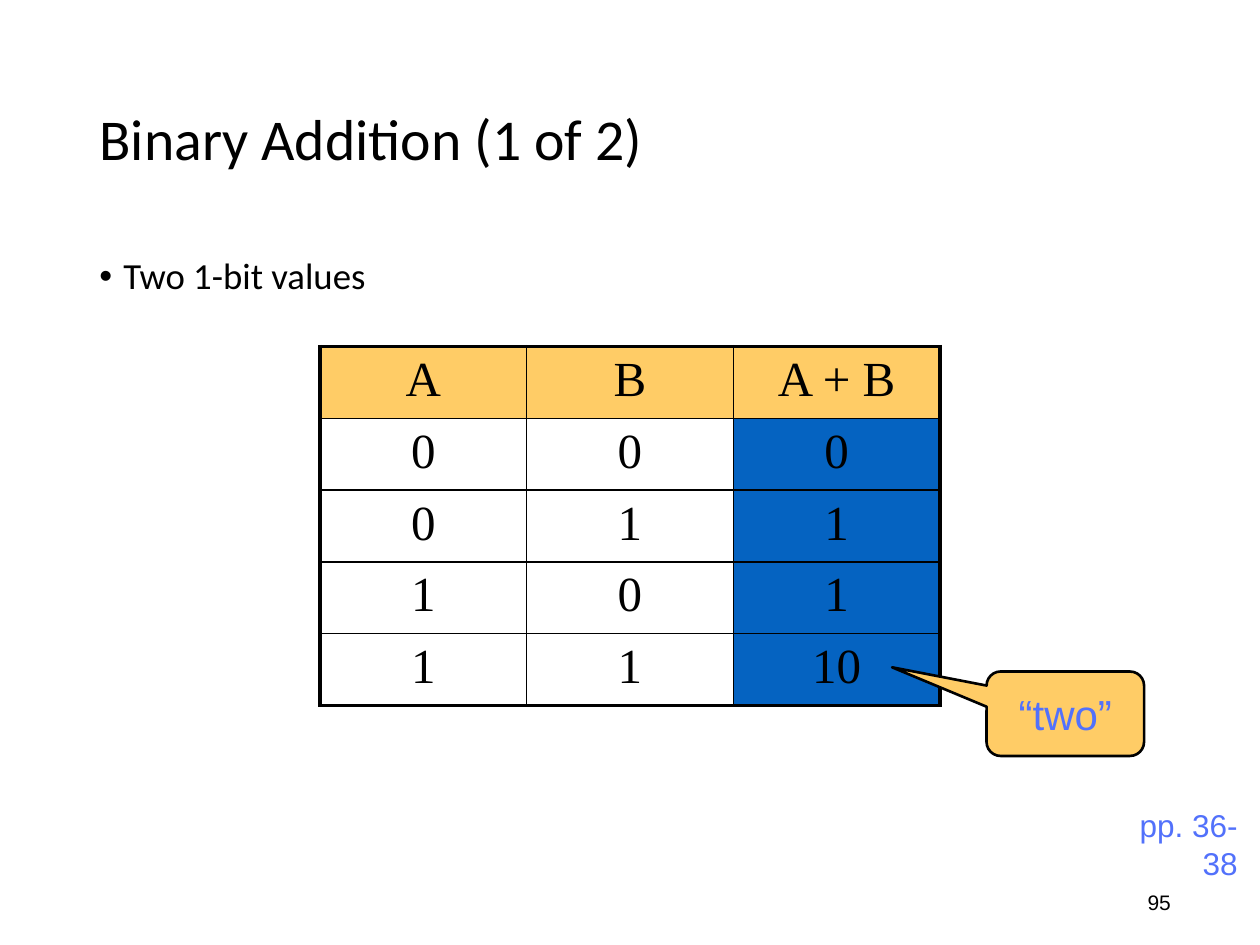
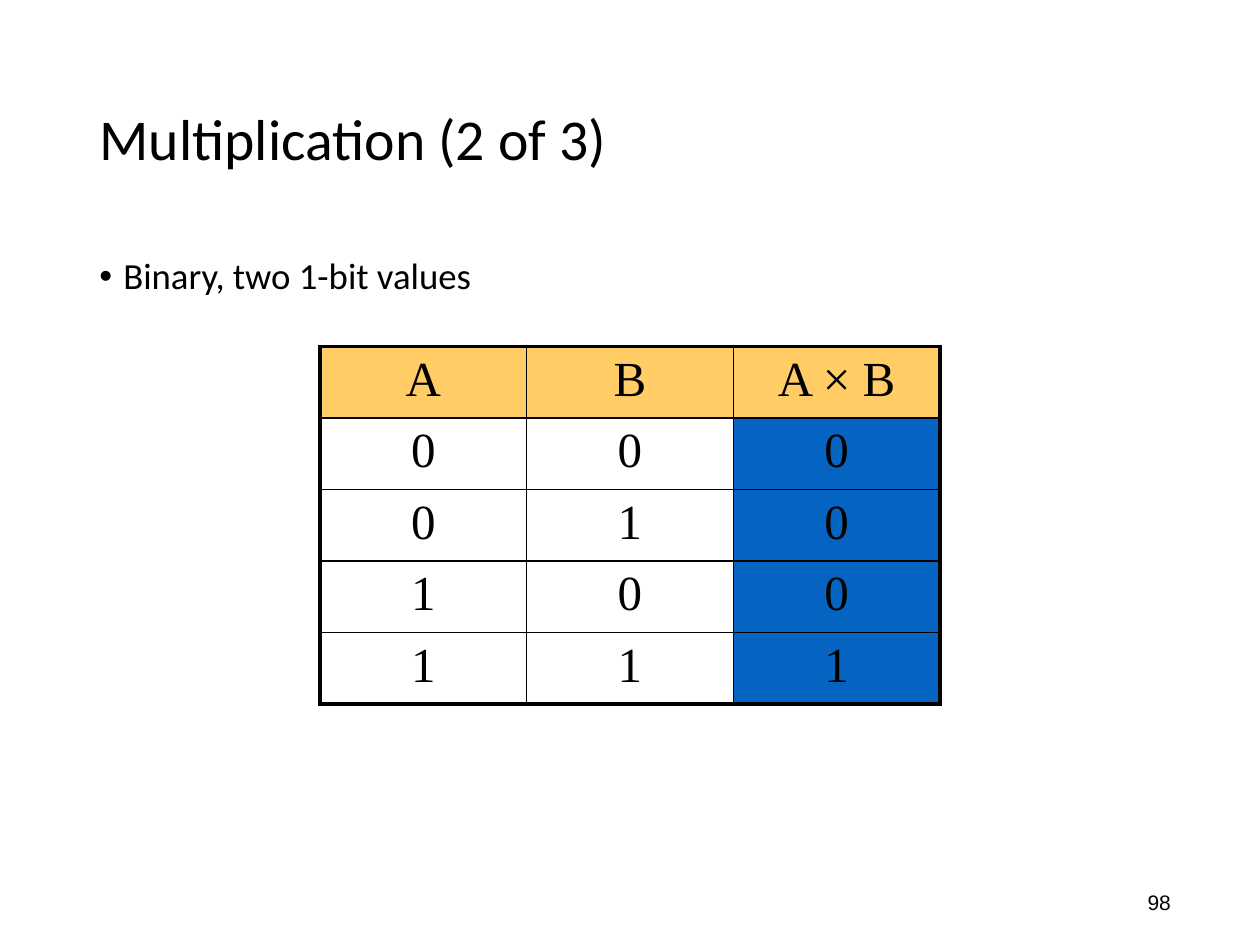
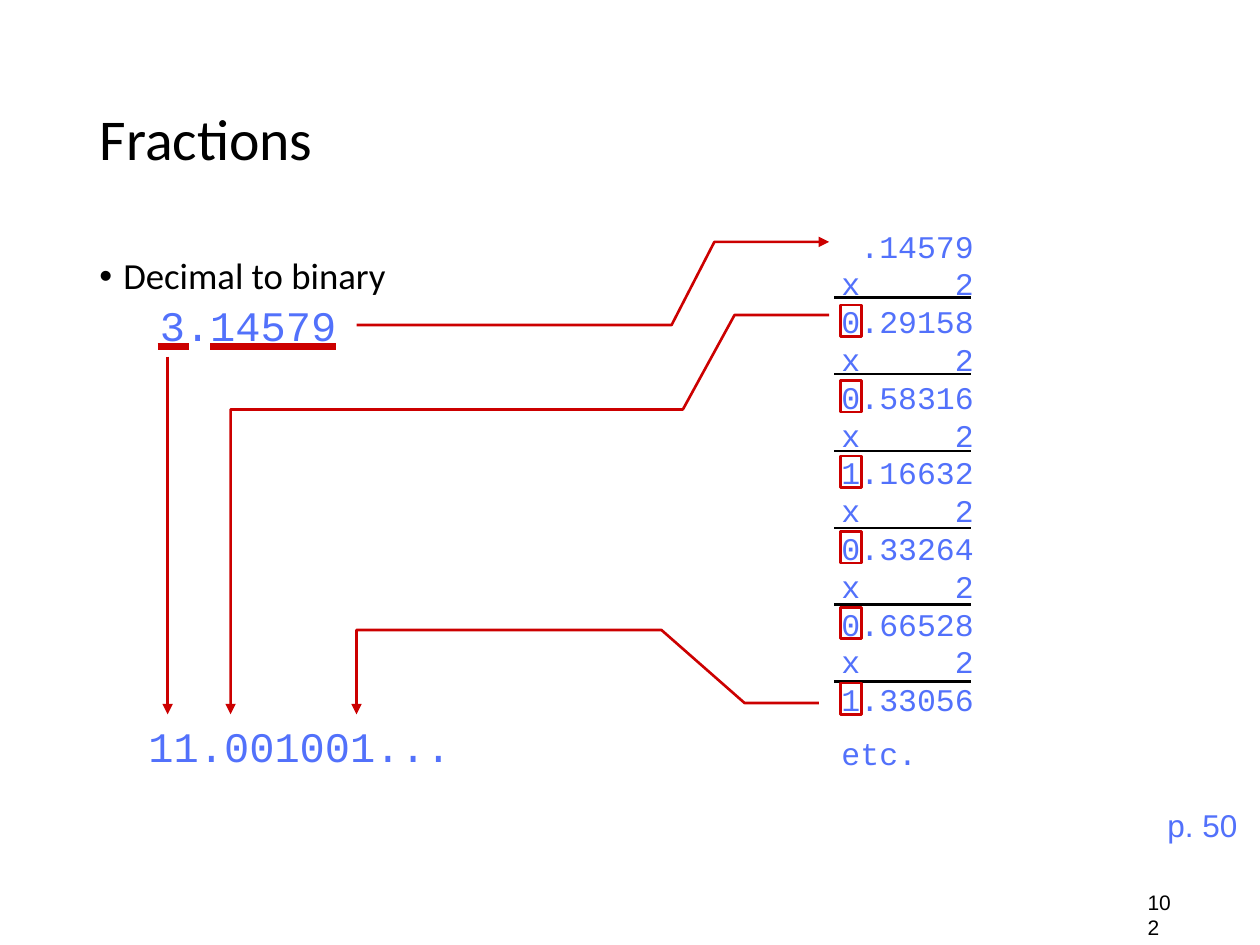
from lxml.etree import SubElement
from pptx import Presentation
from pptx.dml.color import RGBColor
from pptx.enum.shapes import MSO_CONNECTOR as Connector, MSO_SHAPE as Shape
from pptx.enum.text import MSO_ANCHOR as Anchor, MSO_AUTO_SIZE as AutoSize, PP_ALIGN as Align
from pptx.oxml.ns import qn
from pptx.util import Inches, Pt

COLORS = {
    "ink": "000000",
    "note": "5271FB",
    "header": "FFCC66",
    "result": "0563C1",
    "mark": "CC0000",
}
HEADING_FONT = "Calibri"
NOTE_FONT = "Arial"
DIGIT_FONT = "Courier New"
TABLE_FONT = "Times New Roman"
TITLE_ONLY = 5


def color(name):
    return RGBColor.from_string(COLORS[name])


# Text
def format_para(para, text, size=18, font=NOTE_FONT, ink="note", align=Align.LEFT,
                spacing=None, before=0):
    para.text = text
    para.alignment = align
    para.space_before = Pt(before)
    if spacing:
        para.line_spacing = spacing
    for span in para.runs:
        span.font.size = Pt(size)
        span.font.name = font
        span.font.color.rgb = color(ink)


def add_text(page, bounds, *texts, size=18, before=0, bullet=False, tab=None, spacing=None,
             **style):
    box = page.shapes.add_textbox(*map(Inches, bounds))
    frame = box.text_frame
    frame.word_wrap = True
    for index, text in enumerate(texts):
        para = frame.add_paragraph() if index else frame.paragraphs[0]
        props = para._p.get_or_add_pPr()
        if bullet:
            props.set("marL", str(Inches(0.19)))
            props.set("indent", str(-Inches(0.19)))
            SubElement(props, qn("a:buFont"), typeface="Arial")
            SubElement(props, qn("a:buChar"), char="•")
        if tab:
            tabs = SubElement(props, qn("a:tabLst"))
            SubElement(tabs, qn("a:tab"), pos=str(Inches(tab)), algn="r")
        format_para(para, text, size=size, before=before if index else 0,
                    spacing=spacing or Pt(1.2 * size), **style)


def add_page(deck, title, bullet, number, reference=None):
    page = deck.slides.add_slide(deck.slide_layouts[TITLE_ONLY])
    heading = page.shapes.title
    heading.left, heading.top = Inches(0.69), Inches(0.4)
    heading.width, heading.height = Inches(8.62), Inches(1.45)
    frame = heading.text_frame
    frame.auto_size = AutoSize.NONE
    frame.vertical_anchor = Anchor.MIDDLE
    format_para(frame.paragraphs[0], title, size=33, font=HEADING_FONT, ink="ink", spacing=0.9)

    add_text(page, (0.69, 2, 8.62, 4.76), bullet, size=21, font=HEADING_FONT, ink="ink",
             spacing=0.9, bullet=True)
    add_text(page, (9.01, 7.01, 0.4, 0.3), number, size=12, ink="ink")
    if reference:
        add_text(page, (8.75, 6.35, 1.17, 0.4), reference, align=Align.RIGHT)
    return page


# Tables
def set_borders(cell, weights):
    props = cell._tc.get_or_add_tcPr()
    for side, weight in weights.items():
        edge = SubElement(props, qn(f"a:ln{side}"), w=str(Pt(weight)))
        fill = SubElement(edge, qn("a:solidFill"))
        SubElement(fill, qn("a:srgbClr"), val=COLORS["ink"])


def add_truth_table(page, rows, row_height):
    row_count, column_count = len(rows), len(rows[0])
    bounds = (2.54, 2.75, 1.64 * column_count, row_height * row_count)
    table = page.shapes.add_table(row_count, column_count, *map(Inches, bounds)).table
    table.first_row = table.horz_banding = False
    for r, values in enumerate(rows):
        table.rows[r].height = Inches(row_height)
        for c, value in enumerate(values):
            cell = table.cell(r, c)
            outer = {"L": c == 0, "R": c == column_count - 1,
                     "T": r == 0, "B": r == row_count - 1}
            set_borders(cell, {side: 2.25 if edge else 1 for side, edge in outer.items()})
            if r == 0 or outer["R"]:
                cell.fill.solid()
                cell.fill.fore_color.rgb = color("header" if r == 0 else "result")
            else:
                cell.fill.background()
            format_para(cell.text_frame.paragraphs[0], value, size=28, font=TABLE_FONT,
                        ink="ink", align=Align.CENTER)


# Shapes and lines
def style_line(shape, ink, weight, arrow=False):
    shape.line.color.rgb = color(ink)
    shape.line.width = Pt(weight)
    if arrow:
        SubElement(shape._element.spPr.find(qn("a:ln")), qn("a:tailEnd"), type="triangle")


def add_line(page, start, end, ink="mark", weight=1.5, arrow=False):
    line = page.shapes.add_connector(Connector.STRAIGHT, *map(Inches, (*start, *end)))
    style_line(line, ink, weight, arrow)
    SubElement(line._element.spPr, qn("a:effectLst"))


def add_bent_arrow(page, *points):
    start, *others = [(Inches(x), Inches(y)) for x, y in points]
    builder = page.shapes.build_freeform(*start, scale=1.0)
    builder.add_line_segments(others, close=False)
    arrow = builder.convert_to_shape()
    arrow.shadow.inherit = False
    arrow.fill.background()
    style_line(arrow, "mark", 1.5, arrow=True)


def add_digit_frame(page, left, top):
    frame = page.shapes.add_shape(Shape.RECTANGLE, *map(Inches, (left, top, 0.17, 0.25)))
    frame.shadow.inherit = False
    frame.fill.background()
    style_line(frame, "mark", 1.5)


def add_callout(page, bounds, text, pointer):
    callout = page.shapes.add_shape(Shape.ROUNDED_RECTANGULAR_CALLOUT, *map(Inches, bounds))
    callout.shadow.inherit = False
    callout.adjustments[0], callout.adjustments[1] = pointer
    callout.fill.solid()
    callout.fill.fore_color.rgb = color("header")
    style_line(callout, "ink", 1.5)
    callout.text_frame.vertical_anchor = Anchor.MIDDLE
    format_para(callout.text_frame.paragraphs[0], text, size=24, align=Align.CENTER)


# Slides
def add_addition(deck):
    page = add_page(deck, "Binary Addition (1 of 2)", "Two 1-bit values", "95", "pp. 36-38")
    rows = [("A", "B", "A + B"), "000", "011", "101", ("1", "1", "10")]
    add_truth_table(page, rows, row_height=0.57)
    add_callout(page, (7.83, 5.33, 1.25, 0.67), "“two”", pointer=(-1.1, -0.55))


def add_multiplication(deck):
    page = add_page(deck, "Multiplication (2 of 3)", "Binary, two 1-bit values", "98")
    rows = [("A", "B", "A × B"), "000", "010", "100", "111"]
    add_truth_table(page, rows, row_height=0.53)


def add_fractions(deck):
    page = add_page(deck, "Fractions", "Decimal to binary", "102", "p. 50")

    # Number, its two parts and the binary result
    add_text(page, (1.17, 2.33, 1.62, 0.5), "3.14579", size=24, font=DIGIT_FONT)
    add_text(page, (1.08, 5.67, 2.92, 0.5), "11.001001...", size=24, font=DIGIT_FONT)
    for left, right in ((1.25, 1.5), (1.67, 2.67)):
        add_line(page, (left, 2.75), (right, 2.75), weight=4.5)

    # Repeated doubling
    products = ["0.29158", "0.58316", "1.16632", "0.33264", "0.66528", "1.33056"]
    doubling = "\v".join(["\t.14579"] + [f"x\t2\v{product}" for product in products])
    add_text(page, (6.58, 1.75, 1.62, 4.46), doubling, "etc.", font=DIGIT_FONT,
             before=9, tab=1.05)
    for step in range(len(products)):
        rule_top = 2.36 + 0.61 * step
        add_line(page, (6.62, rule_top), (7.71, rule_top), ink="ink")
        add_digit_frame(page, 6.67, 2.42 + 0.6 * step)

    # Arrows
    add_line(page, (1.33, 2.83), (1.33, 5.67), arrow=True)
    add_bent_arrow(page, (2.83, 2.58), (5.33, 2.58), (5.67, 1.92), (6.58, 1.92))
    add_bent_arrow(page, (6.58, 2.5), (5.83, 2.5), (5.42, 3.25), (1.83, 3.25), (1.83, 5.67))
    add_bent_arrow(page, (6.5, 5.58), (5.91, 5.58), (5.25, 5), (2.83, 5), (2.83, 5.67))


def main():
    deck = Presentation()
    deck.slide_width, deck.slide_height = Inches(10), Inches(7.5)
    add_addition(deck)
    add_multiplication(deck)
    add_fractions(deck)
    deck.save("out.pptx")


if __name__ == "__main__":
    main()
